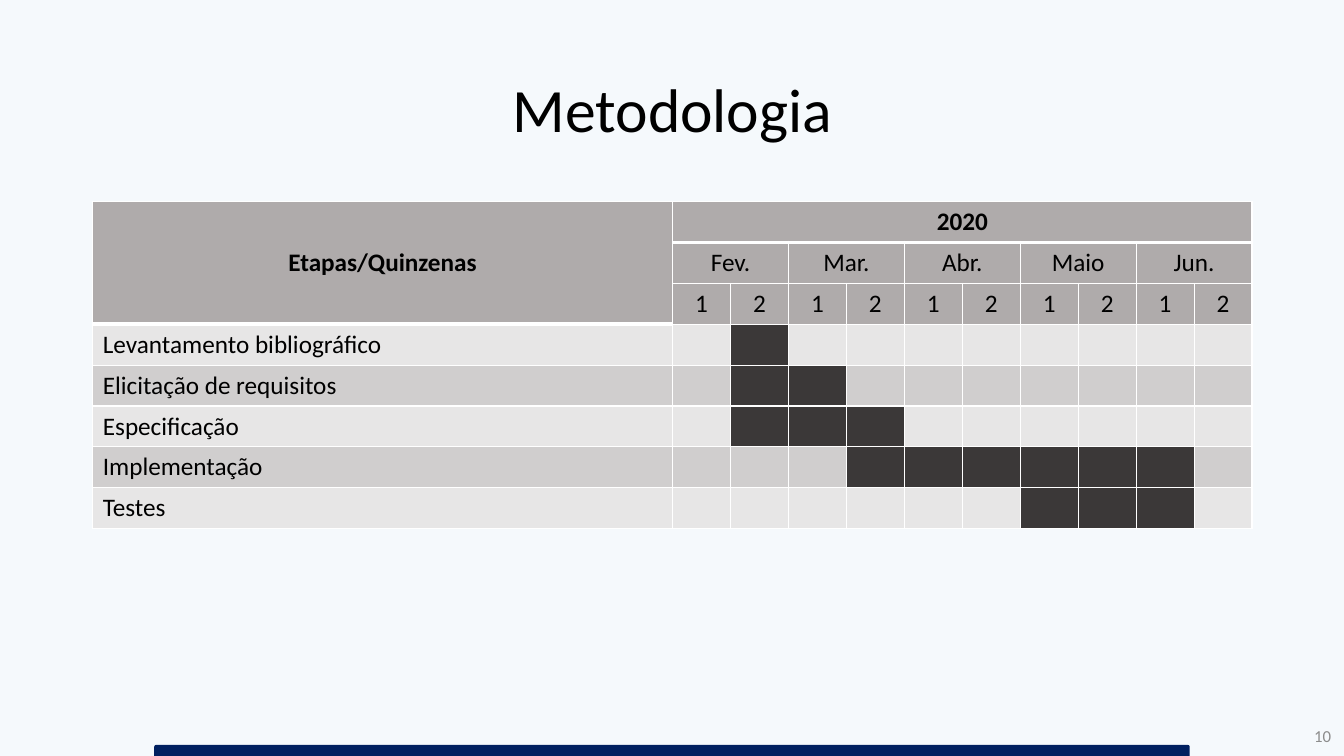
from dataclasses import dataclass

from lxml.etree import SubElement
from pptx import Presentation
from pptx.dml.color import RGBColor as Color
from pptx.enum.shapes import MSO_SHAPE as Shape
from pptx.enum.text import MSO_ANCHOR as Anchor, PP_ALIGN as Align
from pptx.oxml.ns import qn
from pptx.util import Inches, Pt


@dataclass(frozen=True)
class Theme:
    font: str = "Calibri"
    background: str = "F5F9FC"
    text: str = "000000"
    number: str = "8C8C8C"
    footer: str = "002060"
    header: str = "AFABAB"
    bands: tuple = ("E7E6E6", "D0CECE")
    active: str = "3B3838"
    border: str = "FFFFFF"
    title_size: int = 44
    table_size: int = 18
    number_size: int = 12
    thin: int = 1
    thick: int = 3


THEME = Theme()
MONTHS = ["Fev.", "Mar.", "Abr.", "Maio", "Jun."]
FORTNIGHTS = 2 * len(MONTHS)
HEADER_ROWS = 3
# Stage, first and last active fortnight
STAGES = [
    ("Levantamento bibliográfico", 2, 2),
    ("Elicitação de requisitos", 2, 3),
    ("Especificação", 2, 4),
    ("Implementação", 4, 9),
    ("Testes", 7, 9),
]


def write(frame, text, size=THEME.table_size, color=THEME.text, bold=False,
          align=Align.LEFT, spacing=None):
    para = frame.paragraphs[0]
    para.alignment = align
    if spacing:
        para.line_spacing = spacing
    span = para.add_run()
    span.text = text
    font = span.font
    font.name, font.size, font.bold = THEME.font, Pt(size), bold
    font.color.rgb = Color.from_string(color)


def paint(item, color):
    item.fill.solid()
    item.fill.fore_color.rgb = Color.from_string(color)


def set_borders(cell, top, bottom):
    properties = cell._tc.get_or_add_tcPr()
    widths = {"a:lnL": THEME.thin, "a:lnR": THEME.thin, "a:lnT": top, "a:lnB": bottom}
    for tag, width in widths.items():
        line = SubElement(properties, qn(tag), w=str(Pt(width)))
        fill = SubElement(line, qn("a:solidFill"))
        SubElement(fill, qn("a:srgbClr"), val=THEME.border)


def add_title(page, text):
    title = page.shapes.title
    title.left, title.top = Inches(0.92), Inches(0.39)
    title.width, title.height = Inches(11.5), Inches(1.45)
    title.text_frame.vertical_anchor = Anchor.MIDDLE
    write(title.text_frame, text, size=THEME.title_size, align=Align.CENTER, spacing=0.9)


def style_grid(table):
    """Fill and outline every cell; thick rules close the bold headings."""
    for row in range(len(table.rows)):
        for column in range(len(table.columns)):
            cell = table.cell(row, column)
            rule_row = HEADER_ROWS if column == 0 else 1
            set_borders(cell,
                        top=THEME.thick if row == rule_row else THEME.thin,
                        bottom=THEME.thick if row == rule_row - 1 else THEME.thin)
            if row < HEADER_ROWS:
                paint(cell, THEME.header)
                continue
            stage = row - HEADER_ROWS
            first, last = STAGES[stage][1:]
            active = first <= column <= last
            paint(cell, THEME.active if active else THEME.bands[stage % 2])


def add_header(table):
    corner = table.cell(0, 0)
    corner.merge(table.cell(HEADER_ROWS - 1, 0))
    corner.vertical_anchor = Anchor.MIDDLE
    write(corner.text_frame, "Etapas/Quinzenas", bold=True, align=Align.CENTER)

    year = table.cell(0, 1)
    year.merge(table.cell(0, FORTNIGHTS))
    write(year.text_frame, "2020", bold=True, align=Align.CENTER)

    for index, name in enumerate(MONTHS):
        column = 1 + 2 * index
        month = table.cell(1, column)
        month.merge(table.cell(1, column + 1))
        write(month.text_frame, name, align=Align.CENTER)
        for half in range(2):
            write(table.cell(2, column + half).text_frame, str(half + 1), align=Align.CENTER)


def add_schedule(page):
    width, height = Inches(11.5), Inches(3.24)
    rows = HEADER_ROWS + len(STAGES)
    table = page.shapes.add_table(rows, 1 + FORTNIGHTS, Inches(0.92), Inches(2),
                                  width, height).table
    table.first_row = table.horz_banding = False
    for row in table.rows:
        row.height = height // rows
    for index, column in enumerate(table.columns):
        column.width = width // 2 if index == 0 else width // 2 // FORTNIGHTS

    style_grid(table)
    add_header(table)
    for row, (name, _, _) in enumerate(STAGES, start=HEADER_ROWS):
        write(table.cell(row, 0).text_frame, name)


def add_footer_bar(page):
    bar = page.shapes.add_shape(Shape.ROUND_2_SAME_RECTANGLE, Inches(1.53), Inches(7.39),
                                Inches(10.27), Inches(0.11))
    bar.shadow.inherit = False
    paint(bar, THEME.footer)
    bar.line.fill.background()


def add_page_number(page, number):
    box = page.shapes.add_textbox(Inches(10.3), Inches(7.1), Inches(3), Inches(0.4))
    frame = box.text_frame
    frame.word_wrap = True
    frame.vertical_anchor = Anchor.MIDDLE
    write(frame, number, size=THEME.number_size, color=THEME.number, align=Align.RIGHT)


def main():
    deck = Presentation()
    deck.slide_width, deck.slide_height = Inches(13.33), Inches(7.5)
    page = deck.slides.add_slide(deck.slide_layouts[5])
    paint(page.background, THEME.background)

    # Title and schedule
    add_title(page, "Metodologia")
    add_schedule(page)

    # Footer
    add_footer_bar(page)
    add_page_number(page, "10")

    deck.save("out.pptx")


main()
